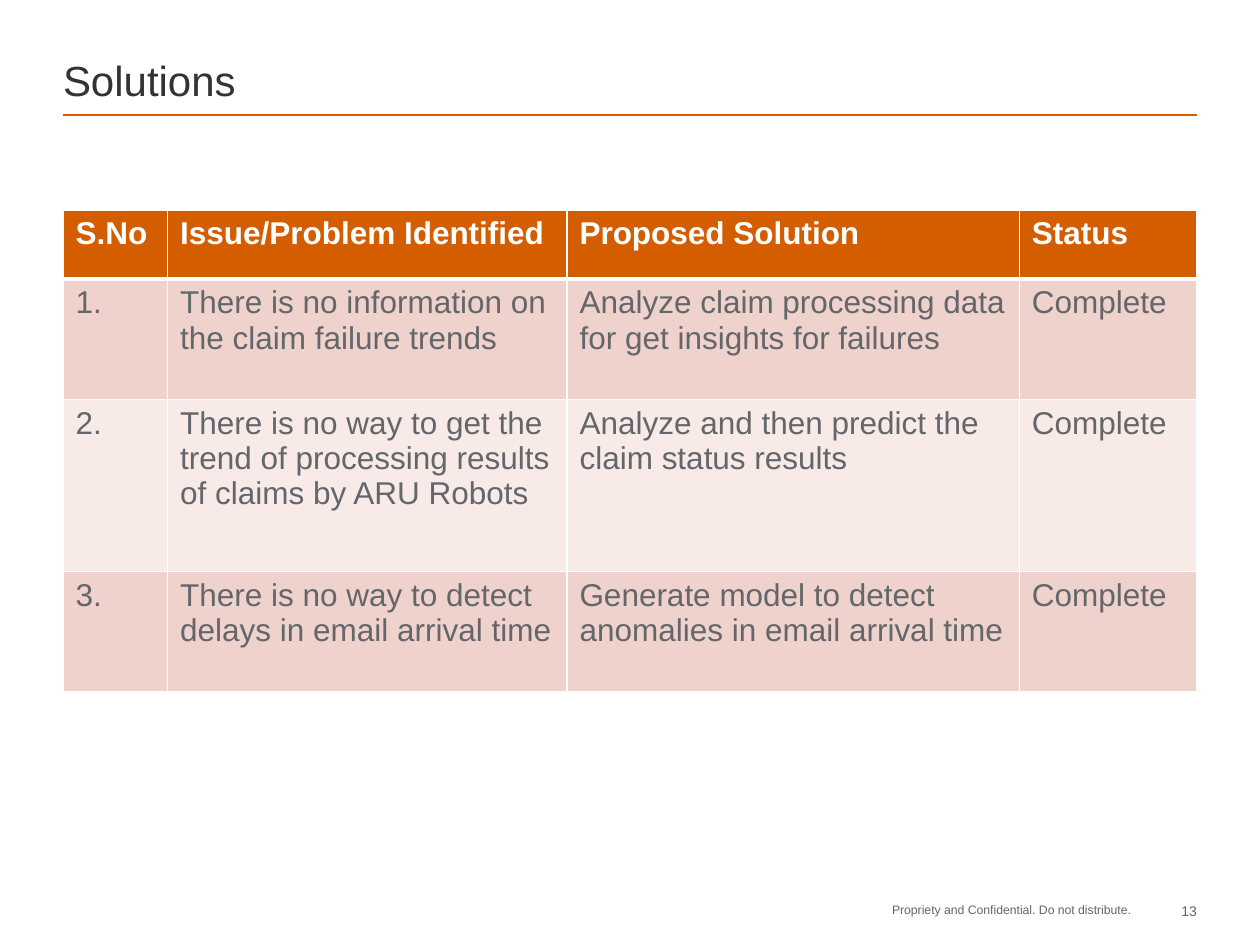
from collections import namedtuple

from lxml import etree
from pptx import Presentation
from pptx.dml.color import RGBColor
from pptx.enum.shapes import MSO_CONNECTOR
from pptx.enum.text import MSO_ANCHOR, MSO_AUTO_SIZE, PP_ALIGN
from pptx.oxml.ns import qn
from pptx.util import Inches, Pt

TOP, BOTTOM = MSO_ANCHOR.TOP, MSO_ANCHOR.BOTTOM
LEFT, RIGHT = PP_ALIGN.LEFT, PP_ALIGN.RIGHT
NO_AUTOFIT = MSO_AUTO_SIZE.NONE
STRAIGHT = MSO_CONNECTOR.STRAIGHT

ORANGE = RGBColor(0xD4, 0x5D, 0x00)
ROSE = RGBColor(0xEF, 0xD2, 0xCC)
PALE_ROSE = RGBColor(0xF7, 0xEA, 0xE7)
CHARCOAL = RGBColor(0x32, 0x33, 0x35)
GREY = RGBColor(0x63, 0x66, 0x6A)
WHITE = RGBColor(0xFF, 0xFF, 0xFF)
FONT = "Arial"

SLIDE_WIDTH, SLIDE_HEIGHT = Inches(10), Inches(7.5)
MARGIN = 0.05 * SLIDE_WIDTH
CONTENT_WIDTH = SLIDE_WIDTH - 2 * MARGIN

COLUMN_WIDTHS = (0.83, 3.17, 3.59, 1.41)
ROW_HEIGHTS = (0.55, 0.96, 1.37, 0.96)
SOLUTIONS = (
    ("S.No", "Issue/Problem Identified", "Proposed Solution", "Status"),
    ("1.", "There is no information on the claim failure trends",
     "Analyze claim processing data for get insights for failures", "Complete"),
    ("2.", "There is no way to get the trend of processing results of claims by ARU Robots",
     "Analyze and then predict the claim status results", "Complete"),
    ("3.", "There is no way to detect delays in email arrival time",
     "Generate model to detect anomalies in email arrival time", "Complete"),
)

Box = namedtuple("Box", "left top width height")


def region(left, top, width, height):
    return Box(*(int(length) for length in (left, top, width, height)))


def write(frame, text, size, color, align=LEFT, bold=False):
    paragraph = frame.paragraphs[0]
    paragraph.alignment = align
    run = paragraph.add_run()
    run.text = text
    run.font.name = FONT
    run.font.size = Pt(size)
    run.font.bold = bold
    run.font.color.rgb = color


def fit_frame(frame, anchor, wrap=True):
    frame.margin_left = frame.margin_top = frame.margin_right = frame.margin_bottom = 0
    frame.vertical_anchor = anchor
    frame.word_wrap = wrap
    frame.auto_size = NO_AUTOFIT


def add_heading(slide, box):
    title = slide.shapes.title
    title.left, title.top, title.width = box.left, box.top, box.width
    title.height = int(box.height * 0.89)
    fit_frame(title.text_frame, BOTTOM)
    write(title.text_frame, "Solutions", 24, CHARCOAL)

    baseline = box.top + box.height
    rule = slide.shapes.add_connector(
        STRAIGHT, box.left, baseline, box.left + box.width, baseline)
    rule.line.color.rgb = ORANGE
    rule.line.width = Pt(1)
    etree.SubElement(rule._element.spPr, qn("a:effectLst"))


def set_borders(cell, bottom_width):
    properties = cell._tc.get_or_add_tcPr()
    widths = {"a:lnL": 1, "a:lnR": 1, "a:lnT": 1, "a:lnB": bottom_width}
    for position, (side, width) in enumerate(widths.items()):
        border = etree.Element(qn(side), w=str(Pt(width)))
        fill = etree.SubElement(border, qn("a:solidFill"))
        etree.SubElement(fill, qn("a:srgbClr"), val=str(WHITE))
        properties.insert(position, border)


def add_solutions(slide, box):
    table = slide.shapes.add_table(len(SOLUTIONS), len(SOLUTIONS[0]), *box).table
    for column, share in zip(table.columns, COLUMN_WIDTHS):
        column.width = int(box.width * share / sum(COLUMN_WIDTHS))
    for row, share in zip(table.rows, ROW_HEIGHTS):
        row.height = int(box.height * share / sum(ROW_HEIGHTS))

    for row_index, entries in enumerate(SOLUTIONS):
        is_header = row_index == 0
        band = ORANGE if is_header else (PALE_ROSE, ROSE)[row_index % 2]
        for column_index, entry in enumerate(entries):
            cell = table.cell(row_index, column_index)
            cell.fill.solid()
            cell.fill.fore_color.rgb = band
            set_borders(cell, 3 if is_header else 1)
            write(cell.text_frame, entry, 18, WHITE if is_header else GREY, bold=is_header)


def add_footer(slide, box):
    notice_width = int(box.width * 0.86)
    number_width = int(box.width * 0.14)
    notice = slide.shapes.add_textbox(box.left, box.top, notice_width, box.height)
    fit_frame(notice.text_frame, TOP, wrap=False)
    write(notice.text_frame, "Propriety and Confidential. Do not distribute.", 7, GREY)

    number = slide.shapes.add_textbox(
        box.left + box.width - number_width, box.top, number_width, box.height)
    fit_frame(number.text_frame, TOP)
    write(number.text_frame, "13", 8, GREY, RIGHT)


def main():
    deck = Presentation()
    deck.slide_width, deck.slide_height = SLIDE_WIDTH, SLIDE_HEIGHT
    slide = deck.slides.add_slide(deck.slide_layouts[5])
    add_heading(slide, region(MARGIN, 0.022 * SLIDE_HEIGHT, CONTENT_WIDTH, 0.1 * SLIDE_HEIGHT))
    add_solutions(slide, region(MARGIN, SLIDE_HEIGHT / 4.5, CONTENT_WIDTH, 0.51 * SLIDE_HEIGHT))
    footer_left = 0.708 * SLIDE_WIDTH
    add_footer(slide, region(footer_left, 0.955 * SLIDE_HEIGHT,
                             SLIDE_WIDTH - MARGIN - footer_left, 0.03 * SLIDE_HEIGHT))
    deck.save("out.pptx")


if __name__ == "__main__":
    main()
